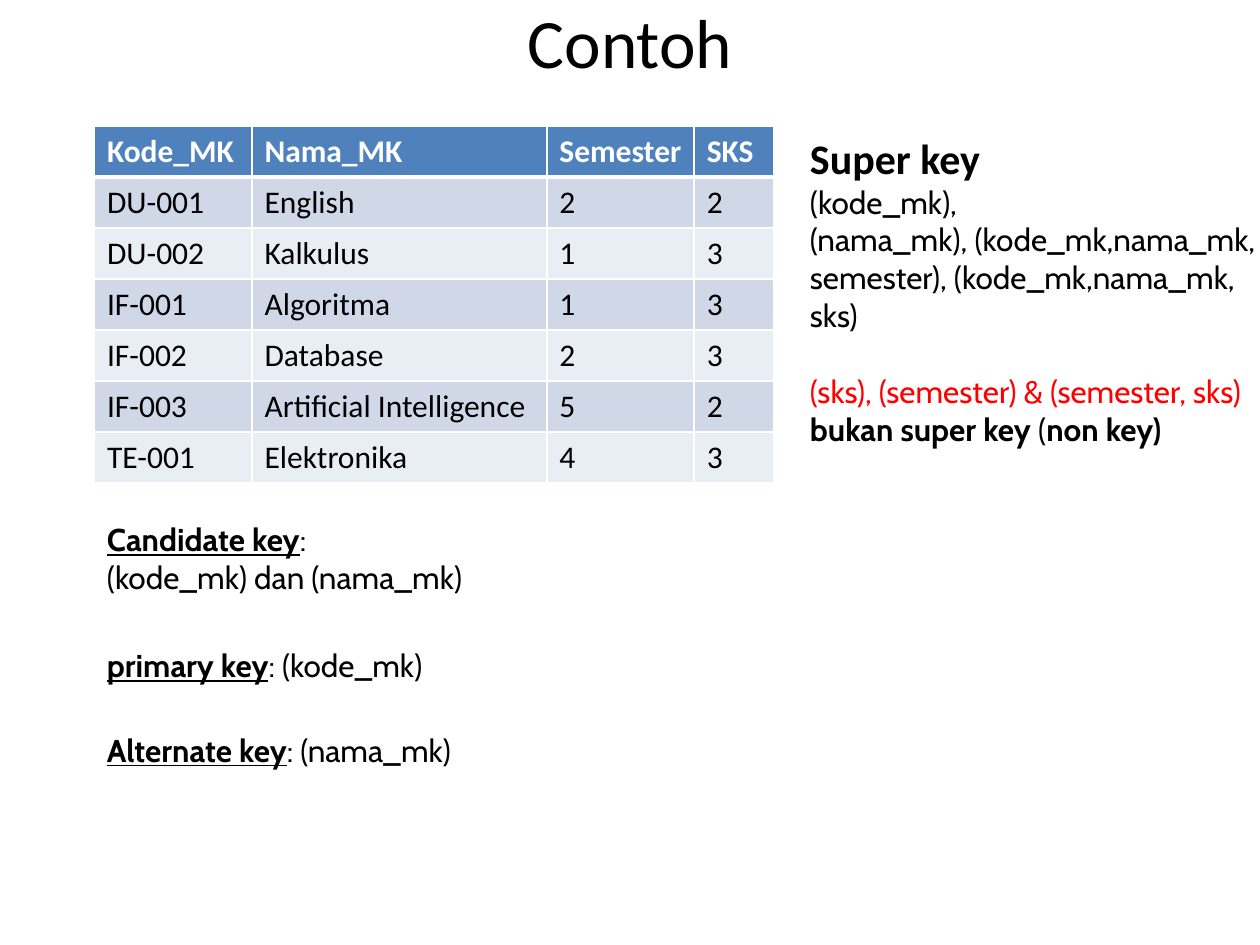
from dataclasses import dataclass

from lxml import etree
from pptx import Presentation
from pptx.dml.color import RGBColor
from pptx.enum.text import MSO_ANCHOR, PP_ALIGN
from pptx.oxml.ns import qn
from pptx.util import Inches, Pt

MIDDLE = MSO_ANCHOR.MIDDLE
CENTER = PP_ALIGN.CENTER
LEFT = PP_ALIGN.LEFT


@dataclass(frozen=True)
class Theme:
    heading_font: str = "Calibri"
    body_font: str = "Cabin"
    black: str = "000000"
    white: str = "FFFFFF"
    red: str = "FF0000"
    header: str = "4F81BD"
    bands: tuple[str, str] = ("D0D8E8", "E9EDF4")
    title: float = 39.6
    heading: float = 24
    body: float = 18
    gap: float = 22
    rule: float = 1
    header_rule: float = 3


THEME = Theme()


@dataclass(frozen=True)
class Span:
    text: str
    bold: bool = False
    underline: bool = False
    color: str = THEME.black
    font: str = THEME.body_font
    size: float = THEME.body


@dataclass(frozen=True)
class Para:
    spans: tuple[Span, ...]
    space_before: float = 0


@dataclass(frozen=True)
class Note:
    left: float
    top: float
    width: float
    height: float
    paras: tuple[Para, ...]


def key_para(name: str, rest: str) -> Para:
    return Para((Span(name, bold=True, underline=True), Span(rest)))


TITLE = Para((Span("Contoh\v", font=THEME.heading_font, size=THEME.title),))
NOTES = (
    Note(6.33, 1, 3.92, 3.23, (
        Para((Span("Super key", bold=True, font=THEME.heading_font, size=THEME.heading),)),
        Para((Span("(kode_mk),"),)),
        Para((Span("(nama_mk), (kode_mk,nama_mk, semester), (kode_mk,nama_mk, sks)"),)),
        Para((
            Span("(sks), (semester) & (semester, sks) ", color=THEME.red),
            Span("bukan super key", bold=True),
            Span(" ("),
            Span("non key)", bold=True),
        ), THEME.gap),
    )),
    Note(0.75, 4.08, 3.67, 0.71, (
        key_para("Candidate key", ":"),
        Para((Span("(kode_mk) dan (nama_mk)"),)),
    )),
    Note(0.75, 5.08, 3.09, 0.4, (key_para("primary key", ": (kode_mk)"),)),
    Note(0.75, 5.75, 3.58, 0.4, (key_para("Alternate key", ": (nama_mk)"),)),
)
COLUMN_WIDTHS = (1.25, 2.34, 1.17, 0.63)
ROW_HEIGHT = 0.405
COURSES = (
    ("Kode_MK", "Nama_MK", "Semester", "SKS"),
    ("DU-001", "English", "2", "2"),
    ("DU-002", "Kalkulus", "1", "3"),
    ("IF-001", "Algoritma", "1", "3"),
    ("IF-002", "Database", "2", "3"),
    ("IF-003", "Artificial Intelligence", "5", "2"),
    ("TE-001", "Elektronika", "4", "3"),
)


def write_para(paragraph, para: Para, align=LEFT) -> None:
    paragraph.alignment = align
    paragraph.space_before = Pt(para.space_before)
    for span in para.spans:
        if span.text.endswith("\v"):
            paragraph.text = span.text
            run = paragraph.runs[0]
        else:
            run = paragraph.add_run()
            run.text = span.text
        font = run.font
        font.name = span.font
        font.size = Pt(span.size)
        font.bold = span.bold
        font.underline = span.underline
        font.color.rgb = RGBColor.from_string(span.color)
    paragraph.font.size = Pt(para.spans[-1].size)


def add_note(page, note: Note, align=LEFT):
    box = page.shapes.add_textbox(
        Inches(note.left), Inches(note.top), Inches(note.width), Inches(note.height)
    )
    frame = box.text_frame
    frame.word_wrap = True
    for index, para in enumerate(note.paras):
        paragraph = frame.add_paragraph() if index else frame.paragraphs[0]
        write_para(paragraph, para, align)
    return box


def add_border(cell, side: str, width: float) -> None:
    properties = cell._tc.get_or_add_tcPr()
    line = etree.SubElement(properties, qn(f"a:ln{side}"), w=str(Pt(width)))
    fill = etree.SubElement(line, qn("a:solidFill"))
    etree.SubElement(fill, qn("a:srgbClr"), val=THEME.white)


def style_cell(cell, text: str, row: int) -> None:
    is_header = row == 0
    color = THEME.white if is_header else THEME.black
    span = Span(text, bold=is_header, color=color, font=THEME.heading_font)
    write_para(cell.text_frame.paragraphs[0], Para((span,)))
    for side in "LRTB":
        is_thick = (side, row) in (("B", 0), ("T", 1))
        add_border(cell, side, THEME.header_rule if is_thick else THEME.rule)
    cell.fill.solid()
    fill = THEME.header if is_header else THEME.bands[(row - 1) % 2]
    cell.fill.fore_color.rgb = RGBColor.from_string(fill)


def add_courses(page) -> None:
    table = page.shapes.add_table(
        len(COURSES), len(COLUMN_WIDTHS), Inches(0.75), Inches(1),
        Inches(sum(COLUMN_WIDTHS)), Inches(ROW_HEIGHT * len(COURSES)),
    ).table
    table.horz_banding = False
    for column, width in zip(table.columns, COLUMN_WIDTHS):
        column.width = Inches(width)
    for row, values in enumerate(COURSES):
        table.rows[row].height = Inches(ROW_HEIGHT)
        for column, text in enumerate(values):
            style_cell(table.cell(row, column), text, row)


def main() -> None:
    """Build the slide on database keys and save it."""
    deck = Presentation()
    deck.slide_width = Inches(10)
    deck.slide_height = Inches(7.5)
    page = deck.slides.add_slide(deck.slide_layouts[6])
    title = add_note(page, Note(0.5, 0.3, 9, 0.7, (TITLE,)), CENTER)
    title.text_frame.vertical_anchor = MIDDLE
    add_courses(page)
    for note in NOTES:
        add_note(page, note)
    deck.save("out.pptx")


if __name__ == "__main__":
    main()
